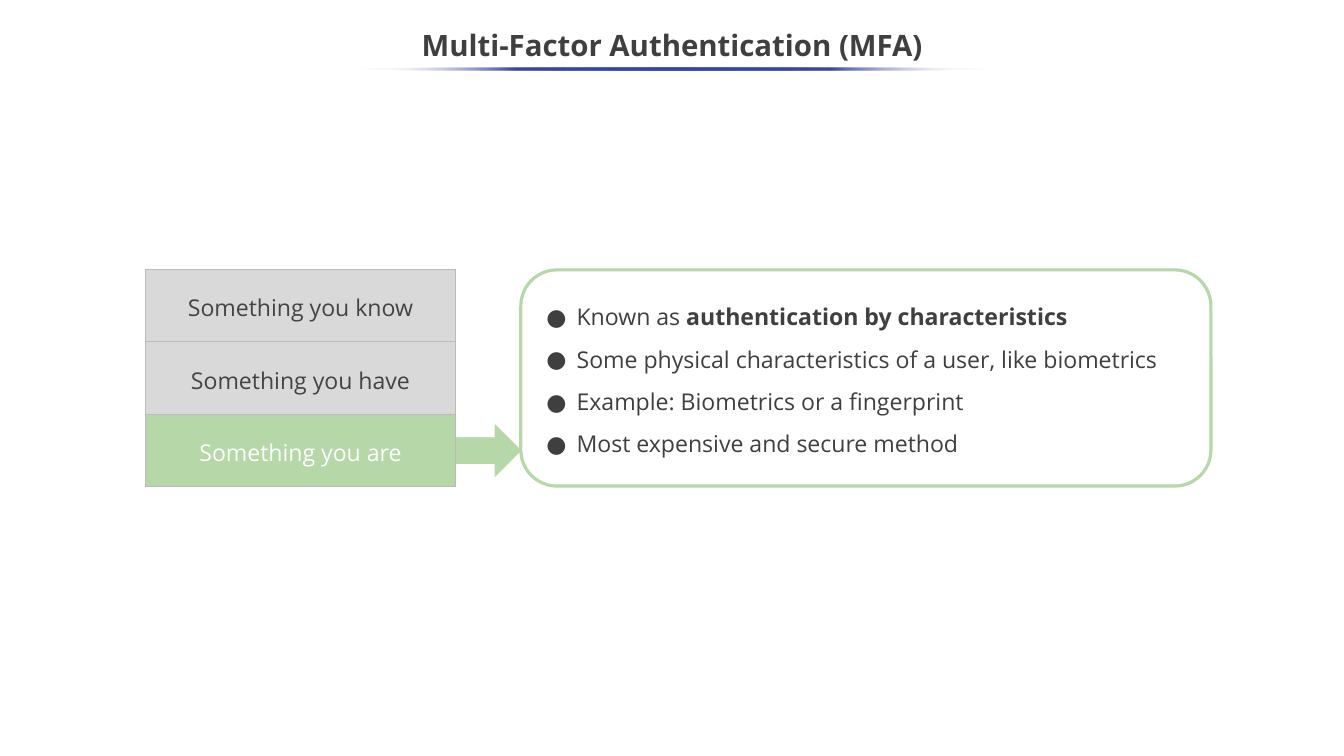
from dataclasses import dataclass

from lxml import etree
from pptx import Presentation
from pptx.dml.color import RGBColor
from pptx.enum.shapes import MSO_SHAPE
from pptx.enum.text import MSO_ANCHOR, PP_ALIGN
from pptx.oxml.ns import qn
from pptx.util import Inches, Pt

RECT, ROUND_RECT = MSO_SHAPE.RECTANGLE, MSO_SHAPE.ROUNDED_RECTANGLE
ARROW, ELLIPSE = MSO_SHAPE.RIGHT_ARROW, MSO_SHAPE.OVAL
MIDDLE = MSO_ANCHOR.MIDDLE
LEFT, CENTER = PP_ALIGN.LEFT, PP_ALIGN.CENTER


@dataclass(frozen=True)
class Theme:
    font: str = "Open Sans"
    title_size: int = 28
    body_size: int = 22
    text: str = "3F3F3F"
    factor_text: str = "434343"
    white: str = "FFFFFF"
    grey: str = "D9D9D9"
    border: str = "BBBBBB"
    green: str = "B6D7A8"
    blue: str = "3645A9"


@dataclass(frozen=True)
class Box:
    left: float
    top: float
    width: float
    height: float

    def emu(self) -> tuple:
        return tuple(Inches(v) for v in (self.left, self.top, self.width, self.height))


@dataclass(frozen=True)
class Factor:
    label: str
    fill: str
    color: str


THEME = Theme()
FACTORS = [
    Factor("Something you know", THEME.grey, THEME.factor_text),
    Factor("Something you have", THEME.grey, THEME.factor_text),
    Factor("Something you are", THEME.green, THEME.white),
]
FACTOR_BOX = Box(1.92, 3.56, 4.11, 0.96)
# Each point is a list of (text, bold) runs.
POINTS = [
    [("Known as ", False), ("authentication by characteristics", True)],
    [("Some physical characteristics of a user, like biometrics", False)],
    [("Example: Biometrics or a fingerprint", False)],
    [("Most expensive and secure method", False)],
]


def add_shape(slide, kind, box: Box, fill=None, line=None, width: float = 0.75):
    """Add a shadowless shape; a missing fill or line is left empty."""
    s = slide.shapes.add_shape(kind, *box.emu())
    s.shadow.inherit = False
    if fill:
        s.fill.solid()
        s.fill.fore_color.rgb = RGBColor.from_string(fill)
    else:
        s.fill.background()
    if line:
        s.line.color.rgb = RGBColor.from_string(line)
        s.line.width = Pt(width)
    else:
        s.line.fill.background()
    return s


def set_frame(tf, inset_x: float, inset_y: float) -> None:
    formats = {
        "word_wrap": True,
        "vertical_anchor": MIDDLE,
        "margin_left": Inches(inset_x),
        "margin_right": Inches(inset_x),
        "margin_top": Inches(inset_y),
        "margin_bottom": Inches(inset_y),
    }
    for name, value in formats.items():
        setattr(tf, name, value)


def add_run(p, text: str, size: int, color: str, bold: bool = False) -> None:
    r = p.add_run()
    r.text = text
    formats = {"name": THEME.font, "size": Pt(size), "bold": bold}
    for name, value in formats.items():
        setattr(r.font, name, value)
    r.font.color.rgb = RGBColor.from_string(color)


def add_bullet(p, color: str) -> None:
    pPr = p._p.get_or_add_pPr()
    pPr.set("marL", str(Inches(0.5)))
    pPr.set("indent", str(-Inches(0.4)))
    clr = etree.SubElement(pPr, qn("a:buClr"))
    etree.SubElement(clr, qn("a:srgbClr"), val=color)
    etree.SubElement(pPr, qn("a:buFont"), typeface=THEME.font)
    etree.SubElement(pPr, qn("a:buChar"), char="●")


def add_title(slide, text: str) -> None:
    s = slide.shapes.add_textbox(*Box(-0.01, 0.25, 17.8, 0.75).emu())
    set_frame(s.text_frame, 0.1, 0.05)
    p = s.text_frame.paragraphs[0]
    p.alignment, p.line_spacing = CENTER, 0.9
    add_run(p, text, THEME.title_size, THEME.text, bold=True)


def add_title_rule(slide) -> None:
    """Draw a thin blue rule that fades out at both ends."""
    s = add_shape(slide, ELLIPSE, Box(4.75, 0.89, 8.29, 0.04))
    s.fill.gradient()
    s.fill.gradient_angle = 180
    stops = s._element.spPr.find(".//" + qn("a:gsLst"))
    for stop in list(stops):
        stops.remove(stop)
    for percent in range(0, 101, 25):
        at_end = percent in (0, 100)
        gs = etree.SubElement(stops, qn("a:gs"), pos=str(percent * 1000))
        clr = etree.SubElement(gs, qn("a:srgbClr"), val=THEME.white if at_end else THEME.blue)
        if at_end:
            etree.SubElement(clr, qn("a:alpha"), val="0")


def add_factor(slide, factor: Factor, box: Box) -> None:
    s = add_shape(slide, RECT, box, factor.fill, THEME.border)
    set_frame(s.text_frame, 0.07, 0.07)
    p = s.text_frame.paragraphs[0]
    p.alignment, p.line_spacing = CENTER, 1.15
    add_run(p, factor.label, THEME.body_size, factor.color)


def add_details(slide, points: list) -> None:
    s = add_shape(slide, ROUND_RECT, Box(6.89, 3.57, 9.13, 2.86), line=THEME.green, width=3)
    s.adjustments[0] = 0.167
    tf = s.text_frame
    set_frame(tf, 0.1, 0.1)
    for i, runs in enumerate(points):
        p = tf.add_paragraph() if i else tf.paragraphs[0]
        p.alignment, p.line_spacing = LEFT, 1.15
        p.space_before = Pt(10 if i else 0)
        p.space_after = Pt(10 if i == len(points) - 1 else 0)
        add_bullet(p, THEME.text)
        for text, bold in runs:
            add_run(p, text, THEME.body_size, THEME.text, bold)


def main() -> None:
    prs = Presentation()
    prs.slide_width, prs.slide_height = Inches(17.78), Inches(10)
    slide = prs.slides.add_slide(prs.slide_layouts[6])
    add_title(slide, "Multi-Factor Authentication (MFA)")
    for i, factor in enumerate(FACTORS):
        b = FACTOR_BOX
        add_factor(slide, factor, Box(b.left, b.top + i * b.height, b.width, b.height))
    add_details(slide, POINTS)
    add_shape(slide, ARROW, Box(6.04, 5.62, 0.85, 0.68), THEME.green, THEME.green)
    add_title_rule(slide)
    prs.save("out.pptx")


if __name__ == "__main__":
    main()
